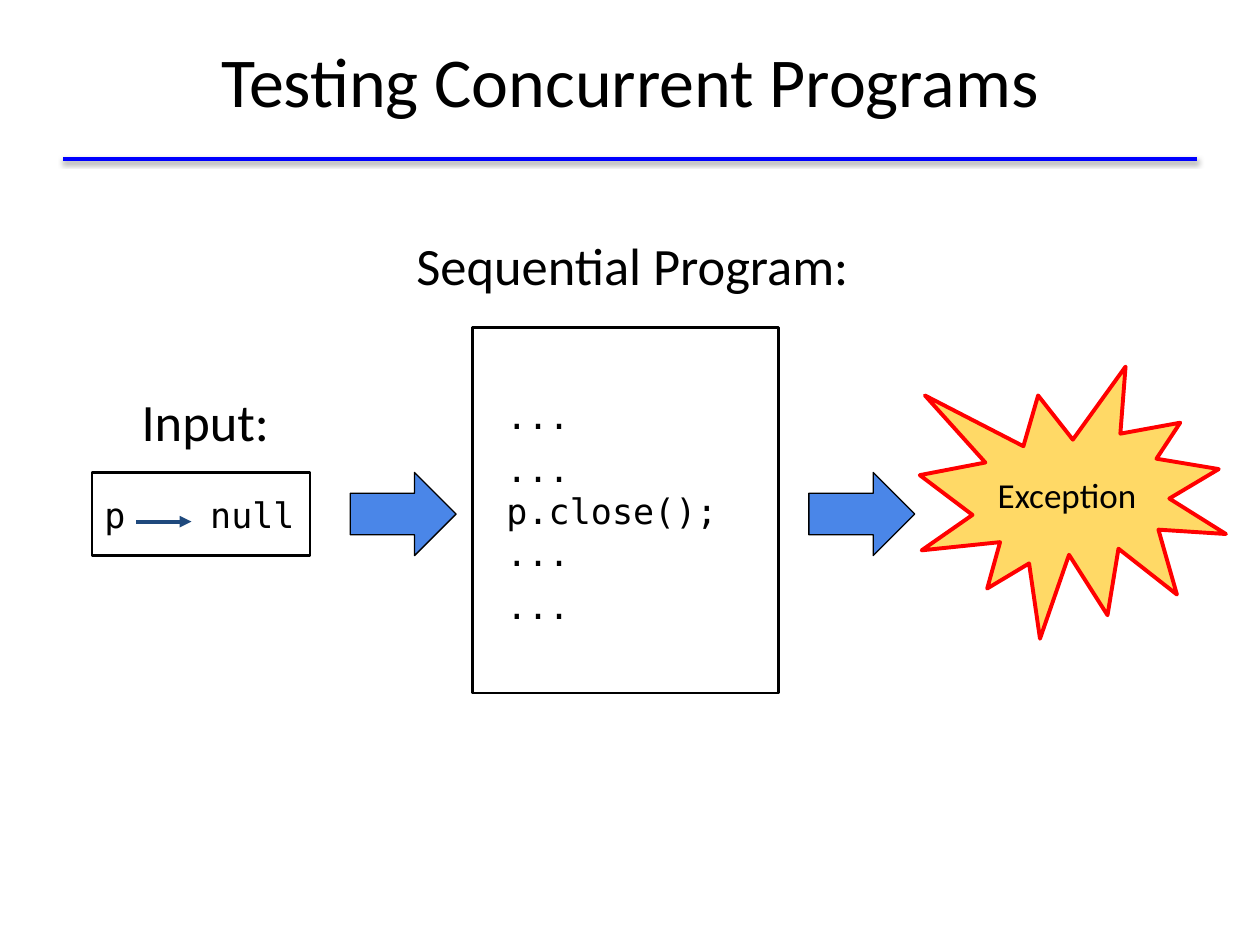
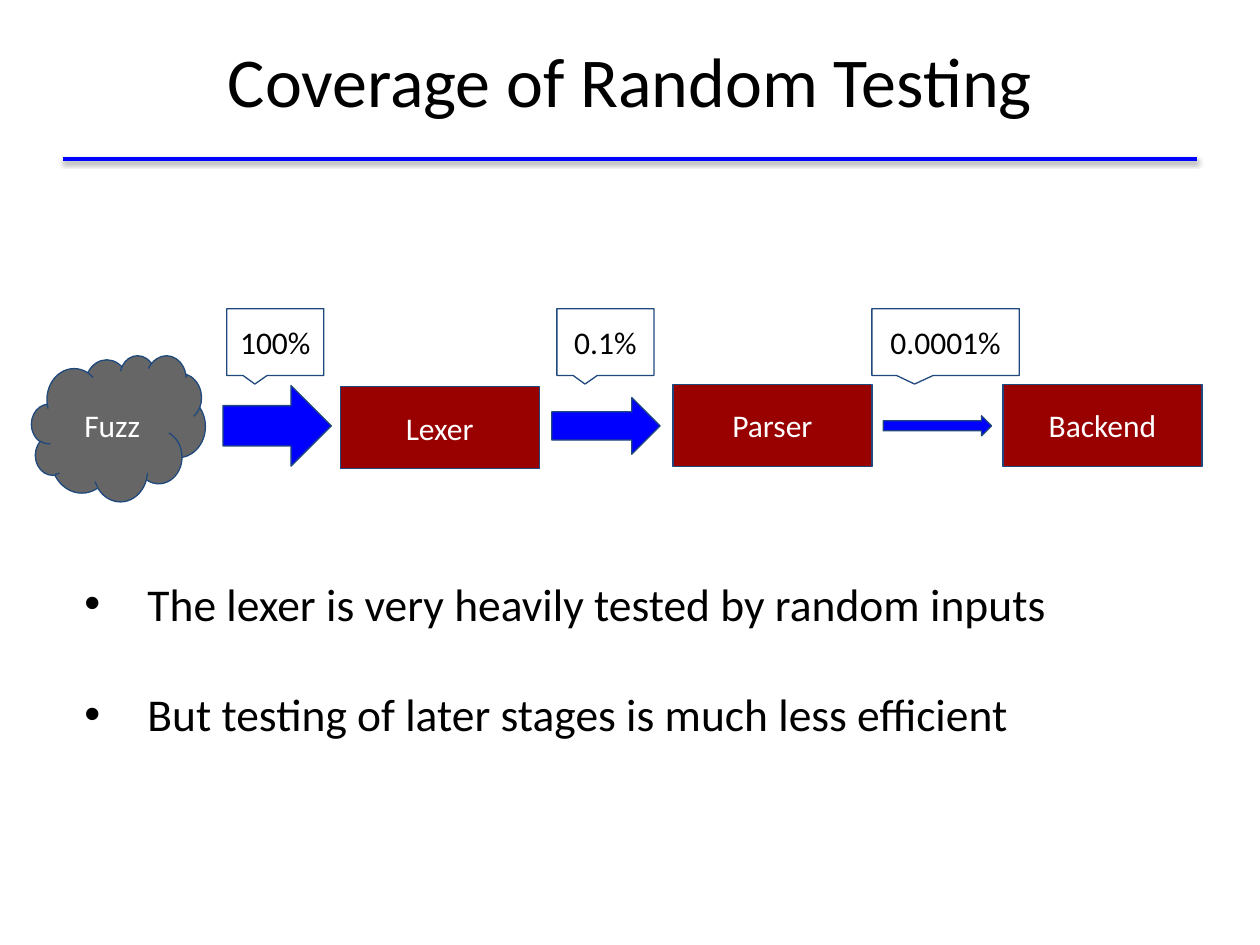
from lxml import etree
from pptx import Presentation
from pptx.dml.color import RGBColor as Rgb
from pptx.enum.shapes import MSO_CONNECTOR as Link, MSO_SHAPE as Kind
from pptx.enum.text import MSO_ANCHOR as Anchor, MSO_AUTO_SIZE as Fit, PP_ALIGN as Align
from pptx.oxml.ns import qn
from pptx.util import Inches, Pt

INK = {
    "black": "000000", "white": "FFFFFF", "blue": "0000FF", "navy": "1F497D",
    "sky": "4A86E8", "gold": "FFD966", "red": "FF0000", "gray": "666666",
    "brick": "990000",
}
SANS, MONO = "Calibri", "DejaVu Sans Mono"


def ink(name):
    return Rgb.from_string(INK[name])


def node(parent, tag, **attrs):
    return etree.SubElement(parent, qn(tag), {k: str(v) for k, v in attrs.items()})


def write(shape, *lines, size=18, font=SANS, color="black", align=Align.CENTER,
          anchor=Anchor.MIDDLE, before=0, inset=0.1):
    """Fill a shape with one paragraph per line."""
    frame = shape.text_frame
    frame.word_wrap, frame.auto_size = True, Fit.NONE
    frame.vertical_anchor = anchor
    frame.margin_left = Inches(inset)
    frame.margin_right = frame.margin_top = frame.margin_bottom = Inches(0.1)
    for i, line in enumerate(lines):
        para = frame.add_paragraph() if i else frame.paragraphs[0]
        para.text, para.alignment = line, align
        para.space_before = Pt(before)
        for run in para.runs:
            run.font.size, run.font.name = Pt(size), font
            run.font.color.rgb = ink(color)
    return frame.paragraphs


def draw(slide, kind, box, fill=None, line="navy", width=0.75):
    shape = slide.shapes.add_shape(kind, *map(Inches, box))
    shape.shadow.inherit = False
    if fill:
        shape.fill.solid()
        shape.fill.fore_color.rgb = ink(fill)
    else:
        shape.fill.background()
    shape.line.color.rgb = ink(line)
    shape.line.width = Pt(width)
    return shape


def label(slide, text, box):
    shape = slide.shapes.add_textbox(*map(Inches, box))
    write(shape, text, size=30, anchor=Anchor.TOP)


def stroke(slide, x, y, length, color, width):
    """Draw a level line; return it with its empty effect list."""
    line = slide.shapes.add_connector(
        Link.STRAIGHT, *map(Inches, (x, y, x + length, y)))
    line.line.color.rgb = ink(color)
    line.line.width = Pt(width)
    return line, node(line.element.spPr, "a:effectLst")


def add_rule(deck, slide):
    """Put the shaded rule under the title on the master."""
    rule, effects = stroke(slide, 0.5, 1.26, 9, "blue", 2)
    shade = node(effects, "a:outerShdw", blurRad=Pt(3.1), dist=Pt(1.6),
                 dir=90 * 60000, rotWithShape=0)
    tint = node(shade, "a:srgbClr", val=INK["black"])
    node(tint, "a:alpha", val=38000)
    rule.element.nvCxnSpPr.cNvPr.id = 99
    deck.slide_master.shapes.element.append(rule.element)


def place(shape, box):
    shape.left, shape.top, shape.width, shape.height = map(Inches, box)


def start(deck, layout, title):
    slide = deck.slides.add_slide(deck.slide_layouts.get_by_name(layout))
    head = slide.shapes.title
    place(head, (0.5, 0.01, 9, 1.25))
    write(head, title, size=40)
    return slide


def add_input(slide, x, y, w, h):
    label(slide, "Input:", (x - 0.12, y - 0.76, 2.04, 0.81))
    box = draw(slide, Kind.RECTANGLE, (x, y, w, h), line="black", width=1.5)
    para, = write(box, "p\tnull", size=20, font=MONO, align=Align.LEFT, before=6.4)
    tabs = node(para._p.get_or_add_pPr(), "a:tabLst")
    node(tabs, "a:tab", pos=Inches(0.84), algn="l")
    arrow, _ = stroke(slide, x + 0.35, y + 0.39, 0.44, "navy", 2.25)
    node(arrow.line._get_or_add_ln(), "a:tailEnd", type="triangle")


def add_code(slide, x, y, w, h):
    label(slide, "Sequential Program:", (x - 1.54, y - 0.85, 5.62, 0.81))
    box = draw(slide, Kind.RECTANGLE, (x, y, w, h), line="black", width=1.5)
    write(box, "...", "...\np.close();\n...", "...", size=20, font=MONO,
          align=Align.LEFT, before=6.4, inset=0.27)


def add_error(slide, x, y, w, h):
    seal = draw(slide, Kind.EXPLOSION1, (x, y, w, h), "gold", "red", 2.25)
    write(seal, "Exception", size=20, align=Align.LEFT)


def add_stages(slide, x, mid):
    """Lay out the fuzz cloud and three stages around the line at mid."""
    cloud = draw(slide, Kind.CLOUD, (x, mid - 0.56, 1.38, 1.16), "gray")
    write(cloud, "Fuzz", color="white")
    stages = [  # name, box left, box top, arrow left, arrow height, share, tip left, tip width
        ("Lexer", 2.45, -0.31, 1.52, 0.64, "100%", 1.55, 0.77),
        ("Parser", 5.09, -0.33, 4.13, 0.45, "0.1%", 4.17, 0.77),
        ("Backend", 7.71, -0.33, 6.76, 0.16, "0.0001%", 6.67, 1.17),
    ]
    for name, left, top, start_x, high, share, tip_x, wide in stages:
        box = draw(slide, Kind.RECTANGLE, (x + left, mid + top, 1.58, 0.65), "brick")
        write(box, name, color="white")
        draw(slide, Kind.RIGHT_ARROW, (x + start_x, mid - high / 2, 0.86, high), "blue")
        tip = draw(slide, Kind.RECTANGULAR_CALLOUT,
                   (x + tip_x, mid - 0.93, wide, 0.53), "white")
        tip.adjustments[0], tip.adjustments[1] = -0.21, 0.63
        write(tip, share)


def add_list(slide, box, *lines):
    body = slide.placeholders[1]
    place(body, box)
    paras = write(body, *lines, size=26, align=Align.LEFT, anchor=Anchor.TOP)
    for para in paras:
        props = para._p.get_or_add_pPr()
        props.set("marL", str(Inches(0.57)))
        props.set("indent", str(Inches(-0.5)))
    for para in paras[1:]:
        para.space_before = Pt(32)


def main():
    deck = Presentation()
    deck.slide_width, deck.slide_height = Inches(10), Inches(7.5)

    slide = start(deck, "Title Only", "Testing Concurrent Programs")
    add_rule(deck, slide)
    add_code(slide, 3.75, 2.6, 2.43, 2.9)
    add_input(slide, 0.73, 3.75, 1.73, 0.66)
    for x in (2.78, 6.42):
        draw(slide, Kind.RIGHT_ARROW, (x, 3.75, 0.84, 0.66), "sky", "black")
    add_error(slide, 7.3, 2.91, 2.43, 2.16)

    slide = start(deck, "Title and Content", "Coverage of Random Testing")
    add_list(slide, (0.5, 4.47, 9, 2.12),
             "The lexer is very heavily tested by random inputs",
             "But testing of later stages is much less efficient")
    add_stages(slide, 0.25, 3.38)
    deck.save("out.pptx")


if __name__ == "__main__":
    main()
